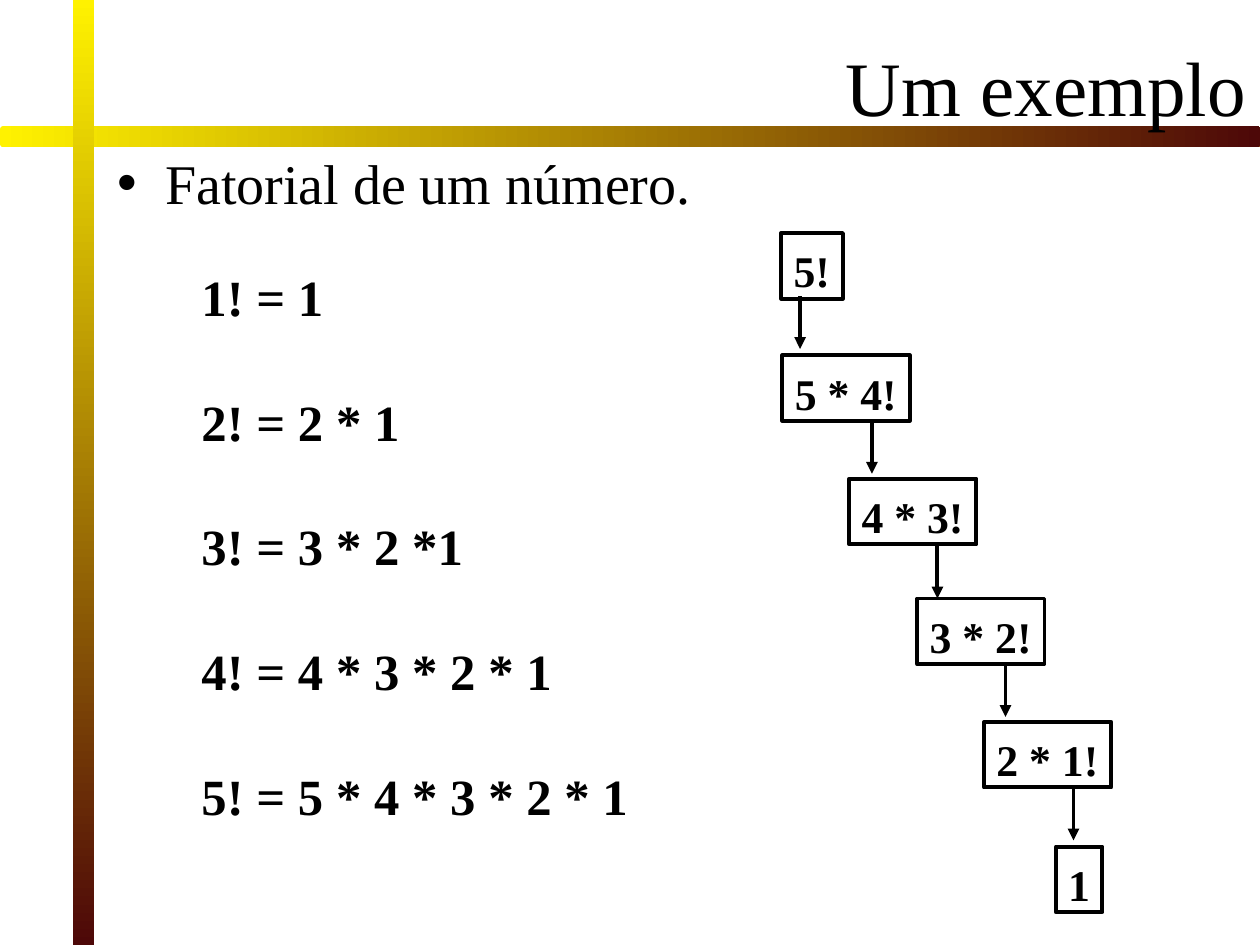
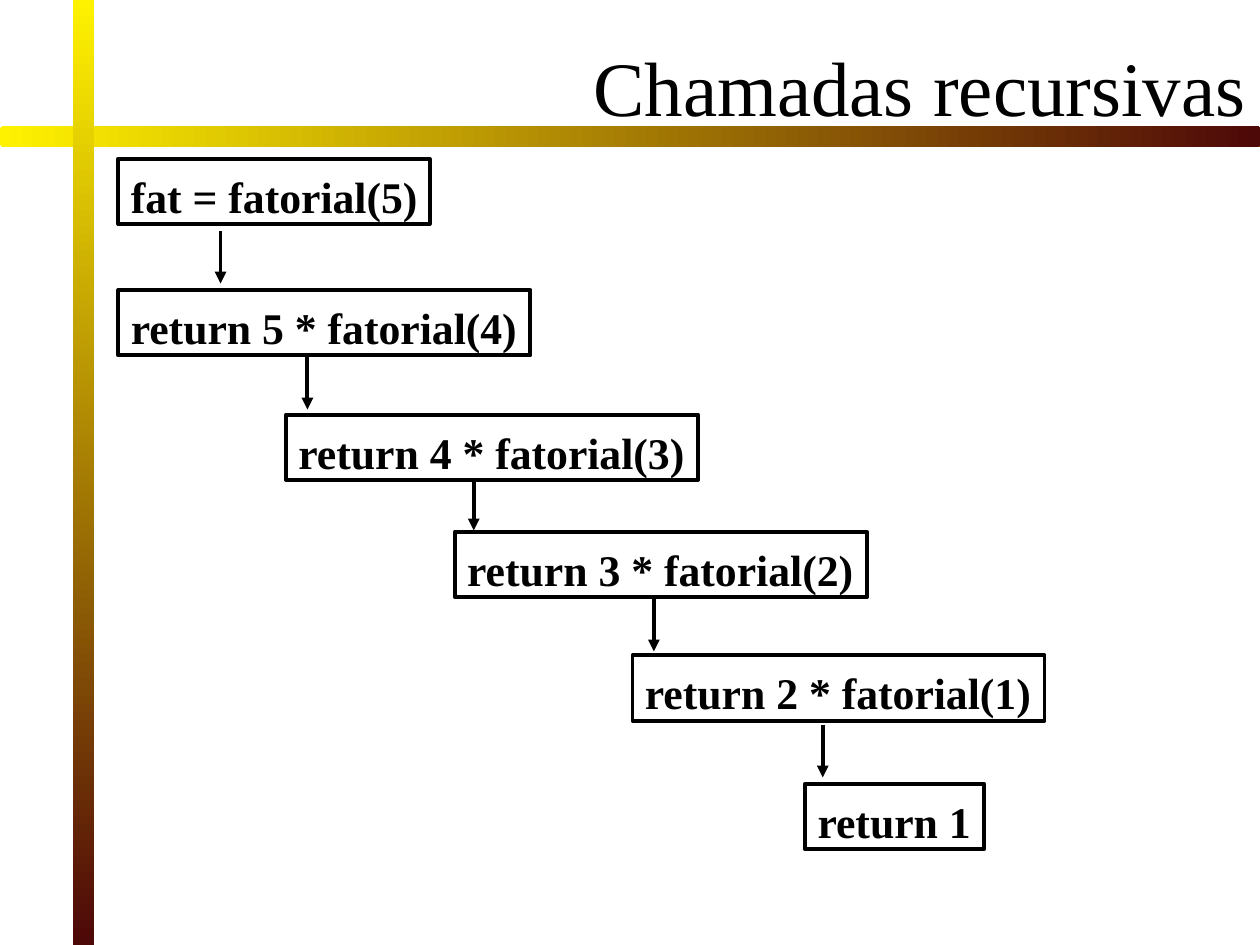
from lxml.etree import SubElement
from pptx import Presentation
from pptx.dml.color import RGBColor
from pptx.enum.shapes import MSO_CONNECTOR, MSO_SHAPE
from pptx.enum.text import MSO_ANCHOR, MSO_AUTO_SIZE, PP_ALIGN
from pptx.oxml.ns import qn
from pptx.util import Inches, Pt

BLACK = RGBColor(0x00, 0x00, 0x00)
YELLOW = RGBColor(0xFF, 0xF2, 0x00)
MAROON = RGBColor(0x4D, 0x08, 0x08)
FONT = "Times New Roman"
LINE_WIDTH = Pt(2.25)
STEP_HEIGHT = 0.52
ARROW_LENGTH = 0.42
TITLE_ONLY, TITLE_AND_BODY = 5, 1

FORMULAS = ["1! = 1", "2! = 2 * 1", "3! = 3 * 2 *1",
            "4! = 4 * 3 * 2 * 1", "5! = 5 * 4 * 3 * 2 * 1"]

# Each step: text, left and top within the chain, width,
# then the arrow's offset from the step's left and its gap above the step.
FACTORIAL_STEPS = [
    ("5!", 0, 0, 0.49, None, None),
    ("5 * 4!", 0.01, 0.97, 1.01, 0.14, 0.05),
    ("4 * 3!", 0.54, 1.95, 1.01, 0.18, 0.04),
    ("3 * 2!", 1.08, 2.9, 1.01, 0.16, 0),
    ("2 * 1!", 1.61, 3.88, 1.01, 0.17, 0.04),
    ("1", 2.18, 4.87, 0.37, 0.14, 0.05),
]
CALL_STEPS = [
    ("fat = fatorial(5)", 0, 0, 2.47, None, None),
    ("return 5 * fatorial(4)", 0, 1.04, 3.27, 0.81, 0.05),
    ("return 4 * fatorial(3)", 1.33, 2.03, 3.27, 0.17, 0.04),
    ("return 3 * fatorial(2)", 2.67, 2.96, 3.27, 0.15, 0.01),
    ("return 2 * fatorial(1)", 4.08, 3.94, 3.27, 0.17, 0.03),
    ("return 1", 5.45, 4.96, 1.42, 0.14, 0.05),
]


def inches(*lengths):
    return [Inches(length) for length in lengths]


def set_font(para, size, bold=False):
    para.font.name = FONT
    para.font.size = Pt(size)
    para.font.bold = bold
    para.font.color.rgb = BLACK


def set_frame(frame, anchor, top, bottom=0.05, wrap=True):
    frame.auto_size = MSO_AUTO_SIZE.NONE
    frame.word_wrap = wrap
    frame.vertical_anchor = anchor
    frame.margin_left = frame.margin_right = Inches(0.1)
    frame.margin_top, frame.margin_bottom = inches(top, bottom)


def fill_placeholder(holder, box, text, size, anchor, top):
    """Move a title or body placeholder to box and return its paragraph."""
    holder.left, holder.top, holder.width, holder.height = inches(*box)
    set_frame(holder.text_frame, anchor, top)
    para = holder.text_frame.paragraphs[0]
    para.text = text
    para.space_before = Pt(0)
    set_font(para, size)
    return para


def add_band(page, preset, box, angle):
    band = page.shapes.add_shape(preset, *inches(*box))
    band.shadow.inherit = False
    band.line.fill.background()
    band.fill.gradient()
    band.fill.gradient_angle = angle
    for stop, color in zip(band.fill.gradient_stops, (YELLOW, MAROON)):
        stop.color.rgb = color
    return band


def move_bands_to_master(deck, page):
    """Draw the crossing bands and hand them to the slide master."""
    across = add_band(page, MSO_SHAPE.ROUNDED_RECTANGLE, (0, 1, 10, 0.17), 0)
    down = add_band(page, MSO_SHAPE.RECTANGLE, (0.58, 0, 0.17, 7.5), 270)
    tree = deck.slide_master.shapes.element
    for position, band in enumerate((across, down), start=2):
        tree.insert(position, band.element)


def add_page(deck, layout, title):
    page = deck.slides.add_slide(deck.slide_layouts[layout])
    para = fill_placeholder(page.shapes.title, (1.49, 0, 8.5, 1.25), title,
                            44, MSO_ANCHOR.MIDDLE, 0.16)
    para.alignment = PP_ALIGN.RIGHT
    return page


def add_bullet(page, box, text):
    para = fill_placeholder(page.placeholders[1], box, text, 32, MSO_ANCHOR.TOP, 0.1)
    properties = para._p.get_or_add_pPr()
    properties.set("marL", str(Inches(0.38)))
    properties.set("indent", str(Inches(-0.38)))


def add_formulas(page, box):
    frame = page.shapes.add_textbox(*inches(*box)).text_frame
    set_frame(frame, MSO_ANCHOR.TOP, 0.1, wrap=False)
    for index, formula in enumerate(FORMULAS):
        para = frame.add_paragraph() if index else frame.paragraphs[0]
        para.text = formula
        para.space_before = Pt(36.4 if index else 0)
        set_font(para, 29, bold=True)


def add_step(page, box, text):
    step = page.shapes.add_shape(MSO_SHAPE.RECTANGLE, *inches(*box))
    step.shadow.inherit = False
    step.fill.background()
    step.line.color.rgb = BLACK
    step.line.width = LINE_WIDTH
    set_frame(step.text_frame, MSO_ANCHOR.MIDDLE, 0.09, 0.02, wrap=False)
    para = step.text_frame.paragraphs[0]
    para.text = text
    para.alignment = PP_ALIGN.LEFT
    set_font(para, 25, bold=True)


def add_down_arrow(page, x, tip):
    arrow = page.shapes.add_connector(
        MSO_CONNECTOR.STRAIGHT, *inches(x, tip - ARROW_LENGTH, x, tip))
    arrow.line.color.rgb = BLACK
    arrow.line.width = LINE_WIDTH
    SubElement(arrow.line._get_or_add_ln(), qn("a:tailEnd"), type="triangle")
    SubElement(arrow.element.spPr, qn("a:effectLst"))


def add_chain(page, left, top, steps):
    """Draw a staircase of boxed steps, each reached by an arrow from above."""
    for text, across, down, width, arrow_offset, gap in steps:
        x, y = left + across, top + down
        add_step(page, (x, y, width, STEP_HEIGHT), text)
        if arrow_offset is not None:
            add_down_arrow(page, x + arrow_offset, y - gap)


def main():
    deck = Presentation()
    deck.slide_width, deck.slide_height = inches(10, 7.5)

    example = add_page(deck, TITLE_AND_BODY, "Um exemplo")
    move_bands_to_master(deck, example)
    add_bullet(example, (0.83, 1.08, 8.5, 0.67), "Fatorial de um número.")
    add_formulas(example, (1.5, 2.01, 3.59, 4.45))
    add_chain(example, 6.2, 1.85, FACTORIAL_STEPS)

    calls = add_page(deck, TITLE_ONLY, "Chamadas recursivas")
    add_chain(calls, 0.94, 1.26, CALL_STEPS)

    deck.save("out.pptx")


if __name__ == "__main__":
    main()
